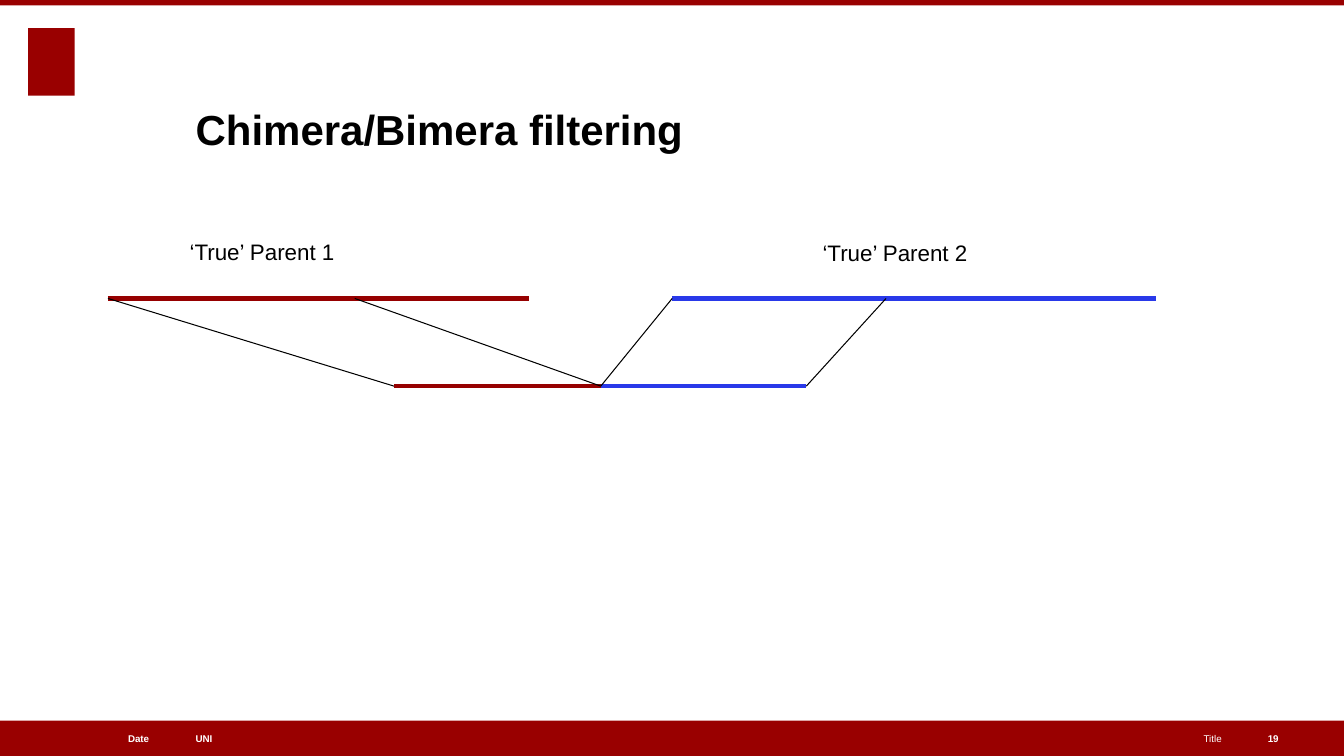
from dataclasses import dataclass
from lxml.etree import SubElement
from pptx import Presentation
from pptx.dml.color import RGBColor as Rgb
from pptx.enum.shapes import MSO_CONNECTOR as Link, MSO_SHAPE as Kind
from pptx.enum.text import MSO_ANCHOR as Anchor, MSO_AUTO_SIZE as Fit, PP_ALIGN as Align
from pptx.oxml.ns import qn
from pptx.util import Cm, Pt


@dataclass(frozen=True)
class Theme:
    font: str = "Arial"
    brand: Rgb = Rgb(0x99, 0x00, 0x00)
    red: Rgb = Rgb(0x96, 0x00, 0x00)
    blue: Rgb = Rgb(0x29, 0x39, 0xE9)
    black: Rgb = Rgb(0, 0, 0)
    white: Rgb = Rgb(255, 255, 255)
    head: float = 30
    label: float = 16
    small: float = 7
    thick: float = 3
    thin: float = 0.75


THEME = Theme()
WIDE, HIGH = 33.87, 19.05
FOOT = 0.89
TITLE = "Chimera/Bimera filtering"
TITLE_BOX = (4.93, 1.19, 25.86, 2.69)

BLOCKS = [
    (0.71, 0.71, 1.17, 1.7),
    (0, HIGH - FOOT, WIDE, FOOT),
    (0, 0, WIDE, 0.14),
]
FOOTERS = [
    ("UNI", 4.93, 9.45, Align.LEFT, True),
    ("Date", 0.69, 3.07, Align.RIGHT, True),
    ("Title", 15.52, 15.27, Align.RIGHT, False),
    ("19", 31.95, 1.19, Align.LEFT, True),
]
LABELS = [
    ("‘True’ Parent 1", 4.78, 5.99),
    ("‘True’ Parent 2", 20.73, 6.02),
]

UPPER, LOWER = 7.52, 9.73
START, JOIN, END = 9.93, 15.14, 20.32
BARS = [
    (START, JOIN, LOWER, THEME.red),
    (JOIN, END, LOWER, THEME.blue),
    (2.72, 13.34, UPPER, THEME.red),
    (16.94, 29.13, UPPER, THEME.blue),
]
GUIDES = [(2.72, START), (8.94, JOIN), (16.94, JOIN), (22.33, END)]


def style(shape, words, size, color, bold=False, align=Align.LEFT, anchor=Anchor.TOP):
    frame = shape.text_frame
    frame.text = words
    frame.word_wrap = True
    frame.auto_size = Fit.NONE
    frame.vertical_anchor = anchor
    frame.margin_left = frame.margin_right = 0
    frame.margin_top = frame.margin_bottom = 0
    para = frame.paragraphs[0]
    para.alignment = align
    font = para.runs[0].font
    font.name, font.size, font.bold = THEME.font, Pt(size), bold
    font.color.rgb = color
    return para


def block(slide, box):
    shape = slide.shapes.add_shape(Kind.RECTANGLE, *map(Cm, box))
    shape.shadow.inherit = False
    shape.fill.solid()
    shape.fill.fore_color.rgb = THEME.brand
    shape.line.fill.background()


def stroke(slide, ends, color, width):
    line = slide.shapes.add_connector(Link.STRAIGHT, *map(Cm, ends))
    line.line.color.rgb = color
    line.line.width = Pt(width)
    SubElement(line._element.spPr, qn("a:effectLst"))


def main():
    deck = Presentation()
    deck.slide_width, deck.slide_height = Cm(WIDE), Cm(HIGH)
    slide = deck.slides.add_slide(deck.slide_layouts[5])

    for box in BLOCKS:
        block(slide, box)

    title = slide.shapes.title
    title.left, title.top, title.width, title.height = map(Cm, TITLE_BOX)
    style(title, TITLE, THEME.head, THEME.black, True, anchor=Anchor.BOTTOM)

    for words, left, width, align, bold in FOOTERS:
        box = slide.shapes.add_textbox(Cm(left), Cm(HIGH - FOOT), Cm(width), Cm(FOOT))
        style(box, words, THEME.small, THEME.white, bold, align, Anchor.MIDDLE)

    for left, right, level, color in BARS:
        stroke(slide, (left, level, right, level), color, THEME.thick)
    for top, foot in GUIDES:
        stroke(slide, (top, UPPER, foot, LOWER), THEME.black, THEME.thin)

    for words, left, top in LABELS:
        box = slide.shapes.add_textbox(Cm(left), Cm(top), Cm(4.98), Cm(0.69))
        para = style(box, words, THEME.label, THEME.black)
        para.space_before = Pt(4.3)

    deck.save("out.pptx")


if __name__ == "__main__":
    main()
